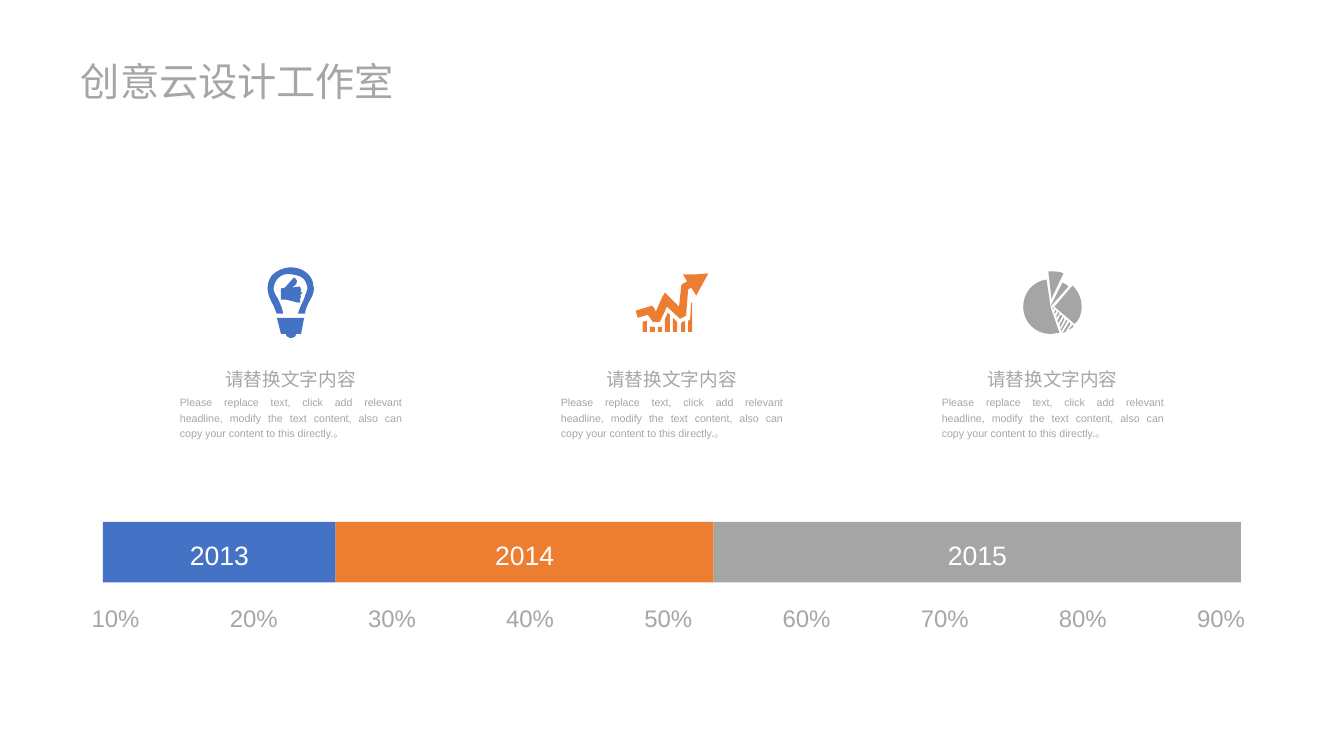
import pptx
import pptx.dml.color
import pptx.enum.shapes
import pptx.enum.text
import pptx.util

ALIGN = pptx.enum.text.PP_ALIGN
BLUE, ORANGE, SILVER, GRAY, WHITE = "4472C4", "ED7D31", "A5A5A5", "A6A6A6", "FFFFFF"
ICON_UNIT = 0.72
CURVE_STEPS = 8

BULB = [
    [(10, 50), (37, 50), (34, 66), (29, 66), (29, 68, 27, 70, 24, 70),
     (21, 70, 19, 68, 19, 66), (14, 66)],
    [(33, 19), (34, 23), (33, 24), (35, 25), (34, 27), (33, 27), (34, 29), (33, 31),
     (33, 35), (31, 35), (19, 32), (14, 32), (14, 21), (18, 20), (27, 10),
     (33, 14, 28, 18, 25, 20)],
    [(10, 46), (16, 46), (16, 41, 13, 36, 11, 31), (8, 27, 6, 22, 7, 19),
     (8, 14, 11, 10, 15, 8), (17, 7, 21, 6, 24, 7), (27, 7, 30, 8, 33, 9),
     (37, 11, 39, 14, 40, 19), (41, 22, 38, 27, 37, 31), (35, 36, 32, 41, 31, 46),
     (38, 46), (38, 42, 40, 38, 42, 34), (45, 29, 48, 23, 46, 18),
     (46, 11, 41, 6, 36, 3), (32, 1, 28, 0, 24, 0), (20, 0, 16, 1, 12, 3),
     (6, 6, 2, 10, 1, 18), (0, 23, 2, 29, 5, 35), (7, 38, 8, 42, 10, 46)],
]
GROWTH = [
    [(72, 0), (60, 22), (55, 14), (52, 16), (50, 42), (44, 45), (31, 33), (24, 48),
     (17, 48), (12, 41), (2, 44), (0, 37), (13, 33), (16, 32), (18, 34), (20, 38),
     (26, 24), (29, 19), (33, 23), (43, 33), (45, 14), (45, 12), (47, 10), (51, 8),
     (47, 1), (59, 1)],
    [(7, 58), (11, 58), (11, 47), (7, 48)],
    [(14, 58), (19, 58), (19, 53), (15, 53), (14, 52)],
    [(22, 58), (26, 58), (26, 52), (26, 53), (22, 53)],
    [(29, 58), (34, 58), (34, 41), (32, 39), (29, 45)],
    [(37, 58), (41, 58), (41, 48), (37, 44)],
    [(45, 58), (49, 58), (49, 47), (45, 49)],
    [(52, 58), (56, 58), (56, 29), (55, 29), (54, 46), (52, 47)],
]
PIE = [
    [(49, 14), (54, 19, 58, 26, 58, 35), (58, 41, 56, 48, 51, 52), (31, 35)],
    [(50, 54), (49, 56, 47, 57, 45, 58), (49, 53)],
    [(42, 60), (47, 52), (46, 50), (39, 61)],
    [(38, 59), (44, 49), (43, 48), (37, 58)],
    [(37, 55), (41, 47), (40, 46), (36, 53)],
    [(35, 51), (39, 44), (37, 43), (34, 49)],
    [(33, 46), (36, 42), (35, 40), (33, 44)],
    [(31, 42), (33, 40), (32, 38), (31, 40)],
    [(30, 38), (29, 36), (31, 37)],
    [(39, 11), (27, 35), (27, 35, 25, 18, 23, 8), (10, 10, 0, 21, 0, 35),
     (0, 50, 12, 62, 27, 62), (30, 62, 33, 61, 36, 61), (27, 35), (45, 15),
     (43, 13, 41, 12, 39, 11)],
    [(28, 0), (25, 0), (28, 27), (40, 2), (37, 0, 32, 0, 28, 0)],
]
COLUMNS = [(BULB, (48, 70), BLUE), (GROWTH, (72, 58), ORANGE), (PIE, (59, 62), SILVER)]
HEADING = "请替换文字内容"
BODY = ("Please replace text, click add relevant headline, modify the text content, "
        "also can copy your content to this directly.。")
YEARS = [("2013", 166.3, BLUE), ("2014", 270, ORANGE), ("2015", 376.6, SILVER)]


def color(value):
    """Turn a hex string into a colour."""
    return pptx.dml.color.RGBColor.from_string(value)


def points(*lengths):
    """Turn numbers of points into lengths."""
    return [pptx.util.Pt(length) for length in lengths]


def set_text(frame, text, size, ink, align, font="Arial"):
    """Fill a text frame with one paragraph."""
    para = frame.paragraphs[0]
    para.text = text
    para.alignment = align
    para.line_spacing = 1.2
    para.font.name = font
    para.font.size = pptx.util.Pt(size)
    para.font.color.rgb = color(ink)


def add_text(page, box, text, size, align=ALIGN.JUSTIFY, wrap=False):
    """Add a gray text box that grows with its text."""
    frame = page.shapes.add_textbox(*points(*box)).text_frame
    frame.word_wrap = wrap
    frame.auto_size = pptx.enum.text.MSO_AUTO_SIZE.SHAPE_TO_FIT_TEXT
    set_text(frame, text, size, GRAY, align)


def paint(shape, fill):
    """Give a shape a flat fill without line or shadow."""
    shape.shadow.inherit = False
    shape.fill.solid()
    shape.fill.fore_color.rgb = color(fill)
    shape.line.fill.background()


def flatten(contour):
    """Turn a contour of points and six-number cubic curves into plain points."""
    outline = [contour[0]]
    for piece in contour[1:]:
        if len(piece) == 2:
            outline.append(piece)
            continue
        start, first, second, end = outline[-1], piece[:2], piece[2:4], piece[4:]
        for step in range(1, CURVE_STEPS + 1):
            t = step / CURVE_STEPS
            u = 1 - t
            outline.append(tuple(
                u**3 * a + 3 * u * u * t * b + 3 * u * t * t * c + t**3 * d
                for a, b, c, d in zip(start, first, second, end)))
    return outline


def add_icon(page, left, top, contours, fill):
    """Draw an icon from its contours."""
    fine = 20
    builder = None
    for contour in contours:
        outline = [(x * fine, y * fine) for x, y in flatten(contour)]
        if builder is None:
            scale = pptx.util.Pt(ICON_UNIT) / fine
            builder = page.shapes.build_freeform(*outline[0], scale=scale)
        else:
            builder.move_to(*outline[0])
        builder.add_line_segments(outline[1:], close=True)
    paint(builder.convert_to_shape(*points(left, top)), fill)


def add_title(page, left, top, width, height):
    """Add the slide title on one line, ending at the right inset."""
    frame = page.shapes.add_textbox(*points(left, top, width, height)).text_frame
    frame.word_wrap = False
    frame.margin_left = frame.margin_top = frame.margin_bottom = 0
    frame.margin_right = pptx.util.Pt(5.76)
    set_text(frame, "创意云设计工作室", 28, GRAY, ALIGN.RIGHT, "Noto Sans CJK JP")


def add_column(page, left, top, width, contours, size, fill):
    """Add an icon with a heading and a text, all centred in the column."""
    icon_width, icon_height = (side * ICON_UNIT for side in size)
    add_icon(page, left + (width - icon_width) / 2, top + 25 - icon_height / 2,
             contours, fill)
    add_text(page, (left + (width - 108) / 2, top + 64.8, 108, 25.2), HEADING, 13.3)
    add_text(page, (left, top + 86.4, width, 39.6), BODY, 7.6, wrap=True)


def add_timeline(page, left, top, height):
    """Add the bar of years and the percentages below it."""
    bar_left = left
    for year, width, fill in YEARS:
        bar = page.shapes.add_shape(pptx.enum.shapes.MSO_SHAPE.RECTANGLE,
                                    *points(bar_left, top, width, height))
        paint(bar, fill)
        bar.text_frame.vertical_anchor = pptx.enum.text.MSO_ANCHOR.MIDDLE
        set_text(bar.text_frame, year, 19, WHITE, ALIGN.CENTER)
        bar_left += width
    for index in range(9):
        add_text(page, (left - 15.1 + 98.7 * index, top + 50.4, 49, 29.5),
                 f"{10 * (index + 1)}%", 17.1)


def main():
    """Build and save the deck."""
    deck = pptx.Presentation()
    deck.slide_width, deck.slide_height = points(960, 540)
    page = deck.slides.add_slide(deck.slide_layouts[6])
    add_timeline(page, 73.5, 372.8, 43.2)
    for index, (contours, size, fill) in enumerate(COLUMNS):
        add_column(page, 121.5 + 272.1 * index, 191.2, 172.8, contours, size, fill)
    add_title(page, 52.6, 34.2, 234.7, 39.6)
    deck.save("out.pptx")


if __name__ == "__main__":
    main()
